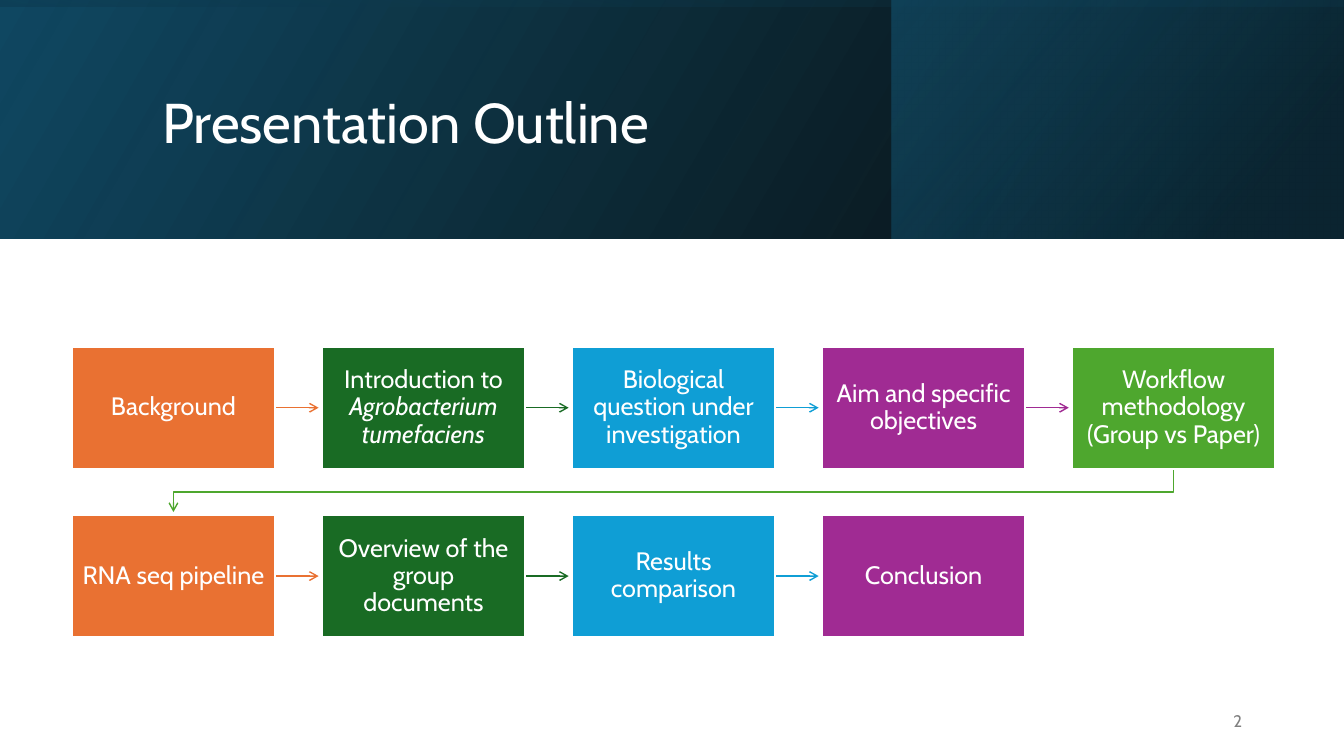
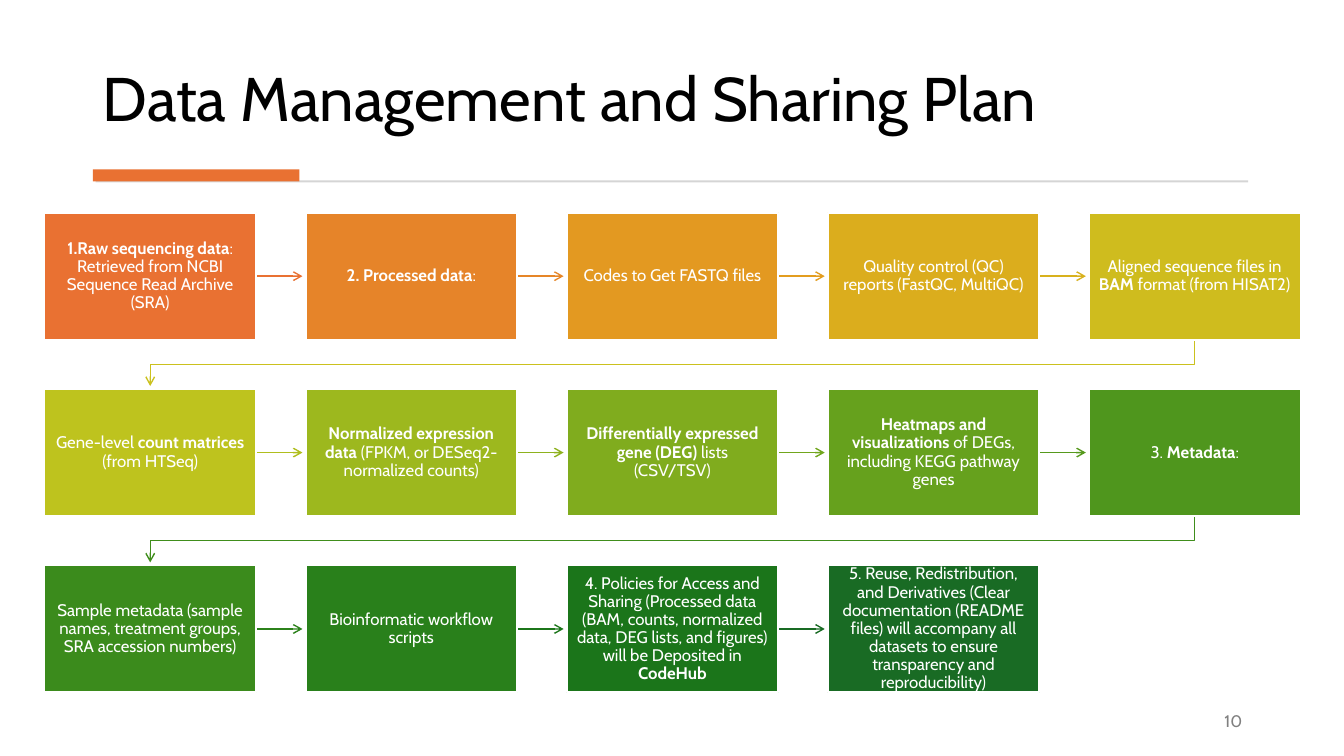
from colorsys import hls_to_rgb, rgb_to_hls
from dataclasses import dataclass

from pptx import Presentation
from pptx.dml.color import RGBColor as RGB
from pptx.enum.shapes import MSO_CONNECTOR as Link, MSO_SHAPE as Form
from pptx.enum.text import MSO_ANCHOR as Anchor, MSO_AUTO_SIZE as Fit, PP_ALIGN as Align
from pptx.oxml.ns import qn
from pptx.oxml.xmlchemy import OxmlElement as Node
from pptx.util import Inches, Pt


# Theme: colours and type sizes
@dataclass(frozen=True)
class Theme:
    font: str = "Cabin"
    white: str = "FFFFFF"
    black: str = "000000"
    navy: str = "104862"
    deep: str = "0B3041"
    teal: str = "156082"
    orange: str = "E97132"
    green: str = "196B24"
    blue: str = "0F9ED5"
    plum: str = "A02B93"
    leaf: str = "4EA72E"
    rule: str = "D5D5D5"
    grey: str = "808080"
    head: int = 40
    large: int = 44
    step: int = 18
    small: int = 12


@dataclass(frozen=True)
class Grid:
    left: float
    top: float
    wide: float
    high: float
    dx: float
    dy: float
    cols: int = 5
    trim: float = 0.03

    def spot(self, i):
        row, col = divmod(i, self.cols)
        return self.left + col * self.dx, self.top + row * self.dy


def blend(start, end, count):
    """Colours from start to end, evenly spaced in hue, light and saturation."""
    a, b = (rgb_to_hls(*(v / 255 for v in RGB.from_string(c))) for c in (start, end))
    out = []
    for i in range(count):
        t = i / (count - 1)
        mix = hls_to_rgb(*(p + (q - p) * t for p, q in zip(a, b)))
        out.append("".join(f"{round(v * 255):02X}" for v in mix))
    return out


def write(frame, words, *, font, size, color, align=Align.LEFT, anchor=Anchor.MIDDLE,
          lead=1.0, mark="bold", pad=None):
    """Fill a frame; words between bars take the mark (bold or italic)."""
    frame.word_wrap = True
    frame.auto_size = Fit.NONE
    frame.vertical_anchor = anchor
    if pad is not None:
        frame.margin_left = frame.margin_right = Inches(pad)
        frame.margin_top = frame.margin_bottom = Inches(pad)
    para = frame.paragraphs[0]
    para.alignment = align
    para.line_spacing = lead
    para.space_before = Pt(0)
    for i, part in enumerate(words.split("|")):
        if part:
            run = para.add_run()
            run.text = part
            run.font.name = font
            run.font.size = Pt(size)
            run.font.color.rgb = RGB.from_string(color)
            if i % 2:
                setattr(run.font, mark, True)


class Deck:
    def __init__(self, theme):
        self.theme = theme
        self.show = Presentation()
        self.show.slide_width = Inches(13.33)
        self.show.slide_height = Inches(7.5)
        self.slide = None

    def page(self):
        self.slide = self.show.slides.add_slide(self.show.slide_layouts[5])

    def title(self, words, at, **look):
        shape = self.slide.shapes.title
        shape.left, shape.top, shape.width, shape.height = map(Inches, at)
        self.slide.shapes.element.append(shape.element)  # bring to front
        write(shape.text_frame, words, font=self.theme.font, lead=0.9, **look)

    def rect(self, at, fill=None, edge=None):
        shape = self.slide.shapes.add_shape(Form.RECTANGLE, *map(Inches, at))
        shape.shadow.inherit = False
        if fill:
            shape.fill.solid()
            shape.fill.fore_color.rgb = RGB.from_string(fill)
        if edge:
            shape.line.color.rgb = RGB.from_string(edge)
            shape.line.width = Pt(1.5)
        else:
            shape.line.fill.background()
        return shape

    def band(self, at, stops, angle, turn=0):
        """Mirrored gradient; each stop is position, colour, opacity (percent)."""
        shape = self.rect(at)
        shape.rotation = turn
        shape.element.find(".//" + qn("a:xfrm")).set("flipH", "1")
        shape.fill.gradient()
        shape.fill.gradient_angle = 360 - angle
        for stop, (pos, color, _) in zip(shape.fill.gradient_stops, stops):
            stop.position = pos / 100
            stop.color.rgb = RGB.from_string(color)
        marks = shape.element.findall(".//" + qn("a:gs") + "/" + qn("a:srgbClr"))
        for mark, (_, _, part) in zip(marks, stops):
            alpha = Node("a:alpha")
            alpha.set("val", str(part * 1000))
            mark.append(alpha)

    def arrow(self, points, color):
        """Straight arrow for two points, a bent one for more."""
        spots = [(Inches(x), Inches(y)) for x, y in points]
        if len(spots) == 2:
            shape = self.slide.shapes.add_connector(Link.STRAIGHT, *spots[0], *spots[1])
        else:
            pen = self.slide.shapes.build_freeform(*spots[0])
            pen.add_line_segments(spots[1:], close=False)
            shape = pen.convert_to_shape()
            shape.fill.background()
        shape.line.color.rgb = RGB.from_string(color)
        shape.line.width = Pt(1)
        tip = Node("a:tailEnd")
        tip.set("type", "arrow")
        shape.element.find(".//" + qn("a:ln")).append(tip)
        shape.element.spPr.append(Node("a:effectLst"))

    def flow(self, grid, steps, fills, lines, size, mark="bold"):
        """Boxes in reading order, each joined to the next."""
        last = len(steps) - 1
        for i, words in enumerate(steps):
            x, y = grid.spot(i)
            if i < last:
                nx, ny = grid.spot(i + 1)
                if ny == y:
                    mid = y + grid.high / 2
                    route = [(x + grid.wide, mid), (nx - grid.trim, mid)]
                else:
                    base, half = y + grid.high, grid.wide / 2
                    mid = (base + ny) / 2
                    route = [(x + half, base), (x + half, mid),
                             (nx + half, mid), (nx + half, ny - grid.trim)]
                self.arrow(route, lines[i])
            box = self.rect((x, y, grid.wide, grid.high), fills[i], self.theme.white)
            write(box.text_frame, words, font=self.theme.font, size=size,
                  color=self.theme.white, align=Align.CENTER, lead=0.9, mark=mark, pad=0.1)

    def number(self, words):
        box = self.slide.shapes.add_textbox(*map(Inches, (9.42, 6.95, 3, 0.4)))
        write(box.text_frame, words, font=self.theme.font, size=self.theme.small,
              color=self.theme.grey, align=Align.RIGHT)


def outline(deck):
    t = deck.theme
    deck.page()
    # Header bands
    deck.band((0, 0, 13.33, 2.37), [(0, t.black, 96), (100, t.navy, 100)], 330)
    deck.band((8.84, 0, 4.48, 2.37), [(19, t.deep, 68), (100, t.teal, 48)], 320)
    deck.band((5.48, -5.48, 2.37, 13.33), [(23, t.navy, 16), (99, t.black, 45)], 350, 270)
    deck.title("Presentation Outline", (1.51, 0.38, 10.63, 1.72), size=t.head, color=t.white)
    # Outline steps
    steps = [
        "Background",
        "Introduction to |Agrobacterium tumefaciens|",
        "Biological question under investigation",
        "Aim and specific objectives",
        "Workflow methodology (Group vs Paper)",
        "RNA seq pipeline",
        "Overview of the group documents",
        "Results comparison",
        "Conclusion",
    ]
    hues = [t.orange, t.green, t.blue, t.plum, t.leaf] * 2
    grid = Grid(0.71, 3.44, 2.02, 1.21, 2.48, 1.67)
    deck.flow(grid, steps, hues, hues, t.step, mark="italic")
    deck.number("2")


def plan(deck):
    t = deck.theme
    deck.page()
    # Title and rule
    deck.title("Data Management and Sharing Plan", (0.92, 0.28, 11.49, 1.11),
               size=t.large, color=t.black, anchor=Anchor.BOTTOM)
    deck.rect((0.95, 1.79, 11.43, 0.02), t.rule)
    deck.rect((0.92, 1.68, 2.05, 0.12), t.orange)
    deck.number("10")
    # Plan steps
    steps = [
        "|1.Raw sequencing data|: Retrieved from NCBI Sequence Read Archive (SRA)",
        "|2. Processed data|:",
        "Codes to Get FASTQ files",
        "Quality control (QC) reports (FastQC, MultiQC)",
        "Aligned sequence files in |BAM| format (from HISAT2)",
        "Gene-level |count matrices| (from HTSeq)",
        "|Normalized expression data| (FPKM, or DESeq2-normalized counts)",
        "|Differentially expressed gene (DEG)| lists (CSV/TSV)",
        "|Heatmaps and visualizations| of DEGs, including KEGG pathway genes",
        "3.| Metadata|:",
        "Sample metadata (sample names, treatment groups, SRA accession numbers)",
        "Bioinformatic workflow scripts",
        "4. Policies for Access and Sharing (Processed data (BAM, counts, normalized data, "
        "DEG lists, and figures) will be Deposited in |CodeHub|",
        "5. Reuse, Redistribution, and Derivatives (Clear documentation (README files) will "
        "accompany all datasets to ensure transparency and reproducibility)",
    ]
    count = len(steps)
    grid = Grid(0.44, 2.11, 2.1, 1.26, 2.59, 1.75)
    deck.flow(grid, steps, blend(t.orange, t.green, count),
              blend(t.orange, t.green, count - 1), t.small)


def main():
    deck = Deck(Theme())
    outline(deck)
    plan(deck)
    deck.show.save("out.pptx")


if __name__ == "__main__":
    main()
